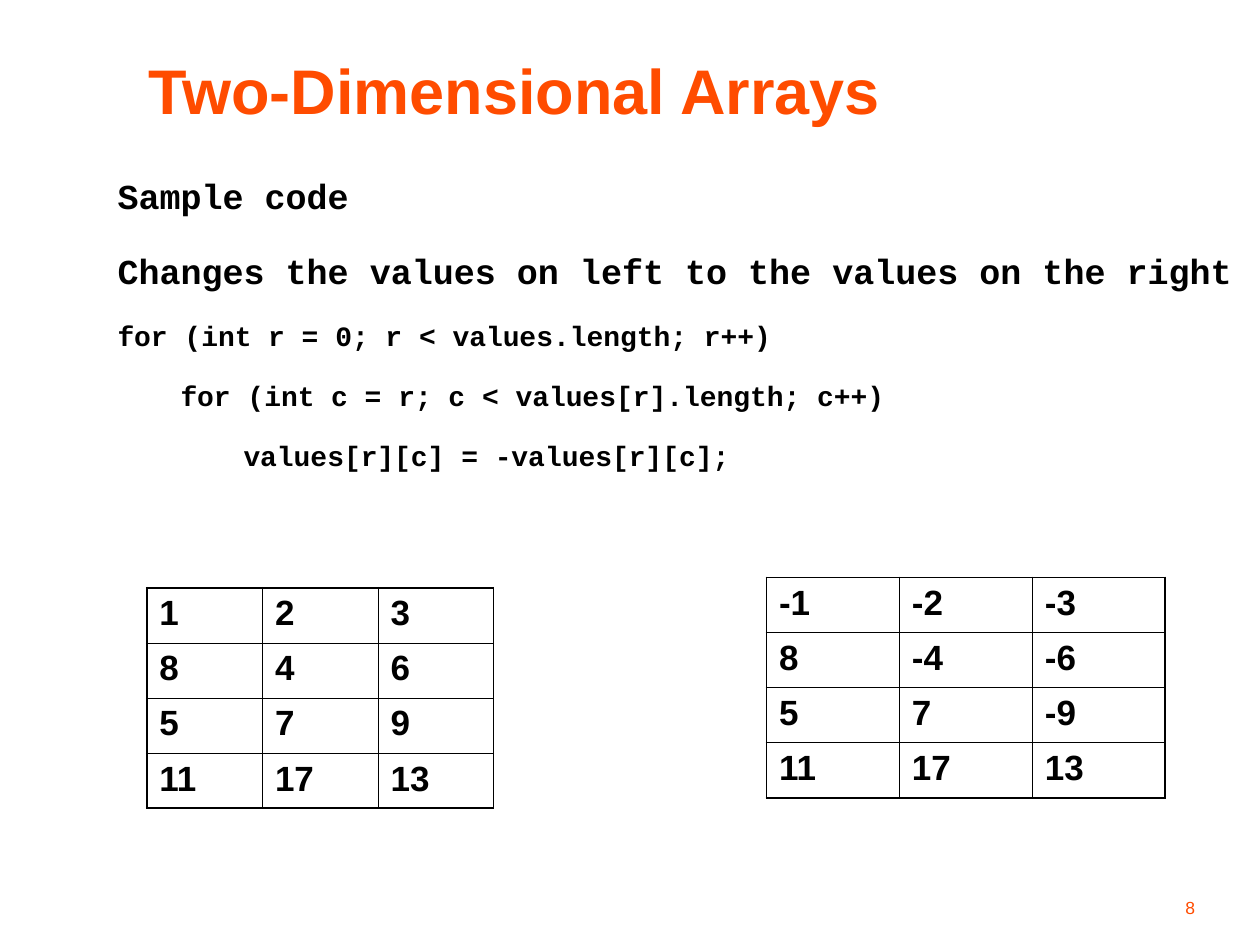
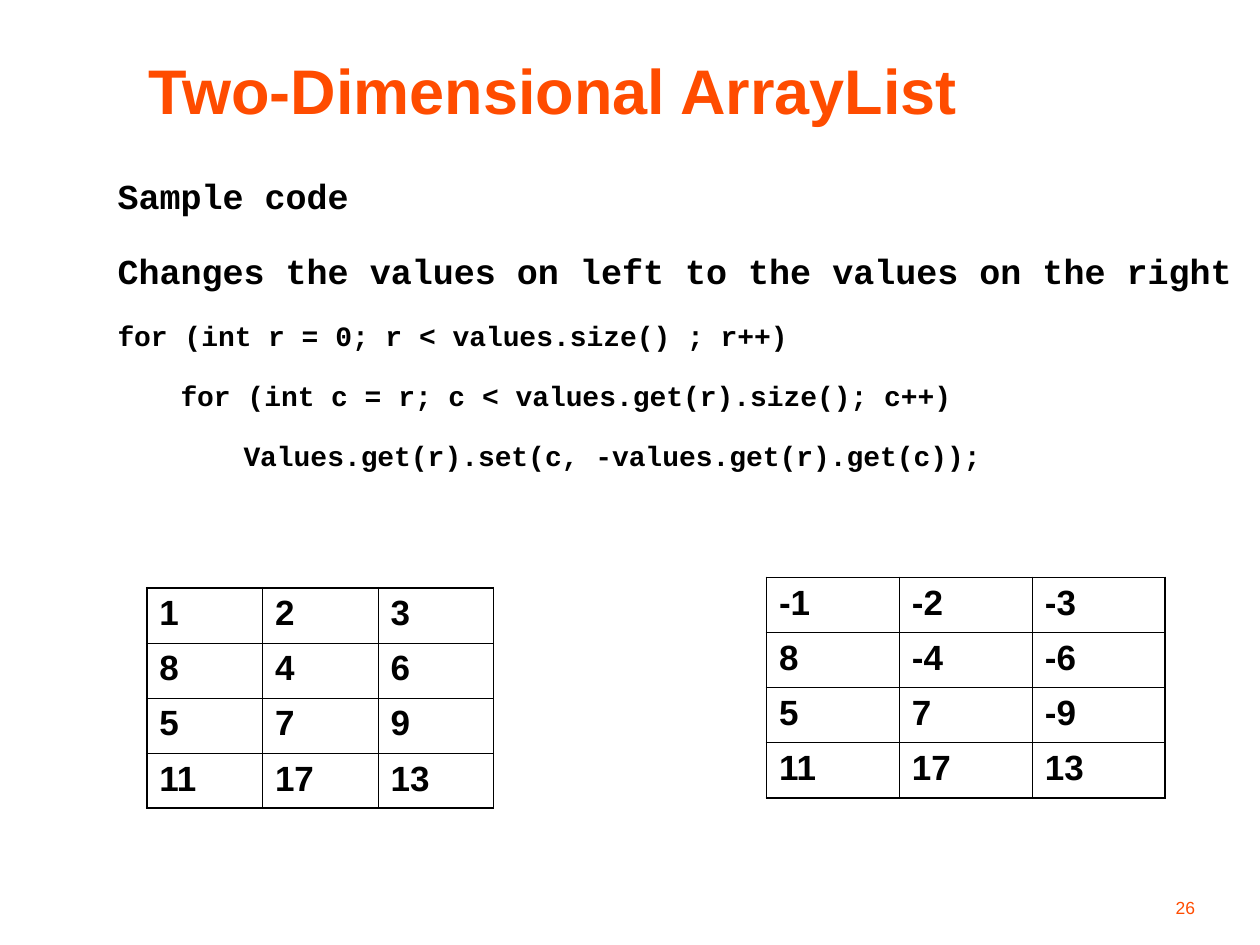
from dataclasses import dataclass

from lxml import etree
from pptx import Presentation
from pptx.dml.color import RGBColor
from pptx.enum.text import MSO_ANCHOR, PP_ALIGN
from pptx.oxml.ns import qn
from pptx.slide import Slide
from pptx.text.text import TextFrame, _Paragraph
from pptx.util import Cm, Pt

LEFT, RIGHT = PP_ALIGN.LEFT, PP_ALIGN.RIGHT
TOP, MIDDLE, BOTTOM = MSO_ANCHOR.TOP, MSO_ANCHOR.MIDDLE, MSO_ANCHOR.BOTTOM

ORANGE, BLACK = "FF4C00", "000000"
SANS, MONO = "Arial", "Courier New"
THICK, THIN = 1.08, 0.45  # table lines in points
ROW = 1.11  # table row height in cm


@dataclass(frozen=True)
class Box:
    left: float
    top: float
    width: float
    height: float


@dataclass(frozen=True)
class Style:
    font: str
    size: float
    color: str
    bold: bool = True


@dataclass(frozen=True)
class Level:
    """Left margin and first-line indent in cm."""
    margin: float
    indent: float


@dataclass(frozen=True)
class Grid:
    left: float
    top: float
    col: float
    rows: list[list[int]]


@dataclass(frozen=True)
class Page:
    title: str
    code: list[str]
    number: int


TITLE = Box(2.75, 0.85, 22.01, 1.9)
BODY = Box(2.12, 3.39, 23.28, 8.04)
FOOT = Box(19.05, 17.57, 5.29, 1.06)

HEAD = Style(SANS, 36, ORANGE)
INTRO = Style(MONO, 20, BLACK)
CODE = Style(MONO, 16, BLACK)
CELL = Style(SANS, 20, BLACK)
FOLIO = Style(SANS, 10, ORANGE, False)

LEVELS = [Level(0.95, -0.95), Level(2.06, -0.79), Level(3.18, -0.64)]
LEADS = ["Sample code", "Changes the values on left to the values on the right"]

GRIDS = [
    Grid(2.96, 11.85, 2.33, [[1, 2, 3], [8, 4, 6], [5, 7, 9], [11, 17, 13]]),
    Grid(15.45, 11.64, 2.68, [[-1, -2, -3], [8, -4, -6], [5, 7, -9], [11, 17, 13]]),
]

PAGES = [
    Page("Two-Dimensional Arrays", [
        "for (int r = 0; r < values.length; r++)",
        "for (int c = r; c < values[r].length; c++)",
        "values[r][c] = -values[r][c];",
    ], 8),
    Page("Two-Dimensional ArrayList", [
        "for (int r = 0; r < values.size() ; r++)",
        "for (int c = r; c < values.get(r).size(); c++)",
        "Values.get(r).set(c, -values.get(r).get(c));",
    ], 26),
]


def paint(color: str) -> RGBColor:
    return RGBColor.from_string(color)


def add_run(para: _Paragraph, text: str, style: Style) -> None:
    run = para.add_run()
    run.text = text
    font = run.font
    font.name, font.size, font.bold = style.font, Pt(style.size), style.bold
    font.color.rgb = paint(style.color)


def add_box(slide: Slide, box: Box, anchor: MSO_ANCHOR) -> TextFrame:
    shape = slide.shapes.add_textbox(
        Cm(box.left), Cm(box.top), Cm(box.width), Cm(box.height))
    frame = shape.text_frame
    frame.word_wrap = True
    frame.vertical_anchor = anchor
    return frame


def add_label(slide: Slide, box: Box, text: str, style: Style,
              anchor: MSO_ANCHOR, align: PP_ALIGN = LEFT) -> None:
    para = add_box(slide, box, anchor).paragraphs[0]
    para.alignment = align
    add_run(para, text, style)


def add_body(slide: Slide, code: list[str]) -> None:
    lines = [(text, INTRO, 0) for text in LEADS]
    lines += [(text, CODE, depth) for depth, text in enumerate(code)]
    frame = add_box(slide, BODY, TOP)
    for i, (text, style, depth) in enumerate(lines):
        para = frame.add_paragraph() if i else frame.paragraphs[0]
        para.level = depth
        para.space_before = Pt(style.size * 0.95)
        props = para._p.get_or_add_pPr()
        props.set("marL", str(Cm(LEVELS[depth].margin)))
        props.set("indent", str(Cm(LEVELS[depth].indent)))
        add_run(para, text, style)


def add_edge(props: etree._Element, side: str, width: float) -> None:
    line = etree.SubElement(props, qn(f"a:ln{side}"), w=str(Pt(width)))
    fill = etree.SubElement(line, qn("a:solidFill"))
    etree.SubElement(fill, qn("a:srgbClr"), val=BLACK)


def add_grid(slide: Slide, grid: Grid) -> None:
    high, wide = len(grid.rows), len(grid.rows[0])
    table = slide.shapes.add_table(
        high, wide, Cm(grid.left), Cm(grid.top),
        Cm(grid.col * wide), Cm(ROW * high)).table
    table.first_row = table.horz_banding = False
    for col in table.columns:
        col.width = Cm(grid.col)
    for r, row in enumerate(grid.rows):
        table.rows[r].height = Cm(ROW)
        for c, value in enumerate(row):
            cell = table.cell(r, c)
            para = cell.text_frame.paragraphs[0]
            para.space_before = Pt(5)
            add_run(para, str(value), CELL)
            # Thick lines run around the outside only
            outer = {"L": c == 0, "R": c == wide - 1,
                     "T": r == 0, "B": r == high - 1}
            props = cell._tc.get_or_add_tcPr()
            for side, edge in outer.items():
                add_edge(props, side, THICK if edge else THIN)
            cell.fill.background()


def main() -> None:
    deck = Presentation()
    deck.slide_width, deck.slide_height = Cm(25.4), Cm(19.05)
    blank = deck.slide_layouts[6]
    for page in PAGES:
        slide = deck.slides.add_slide(blank)
        add_label(slide, TITLE, page.title, HEAD, MIDDLE)
        add_body(slide, page.code)
        for grid in GRIDS:
            add_grid(slide, grid)
        add_label(slide, FOOT, str(page.number), FOLIO, BOTTOM, RIGHT)
    deck.save("out.pptx")


if __name__ == "__main__":
    main()
